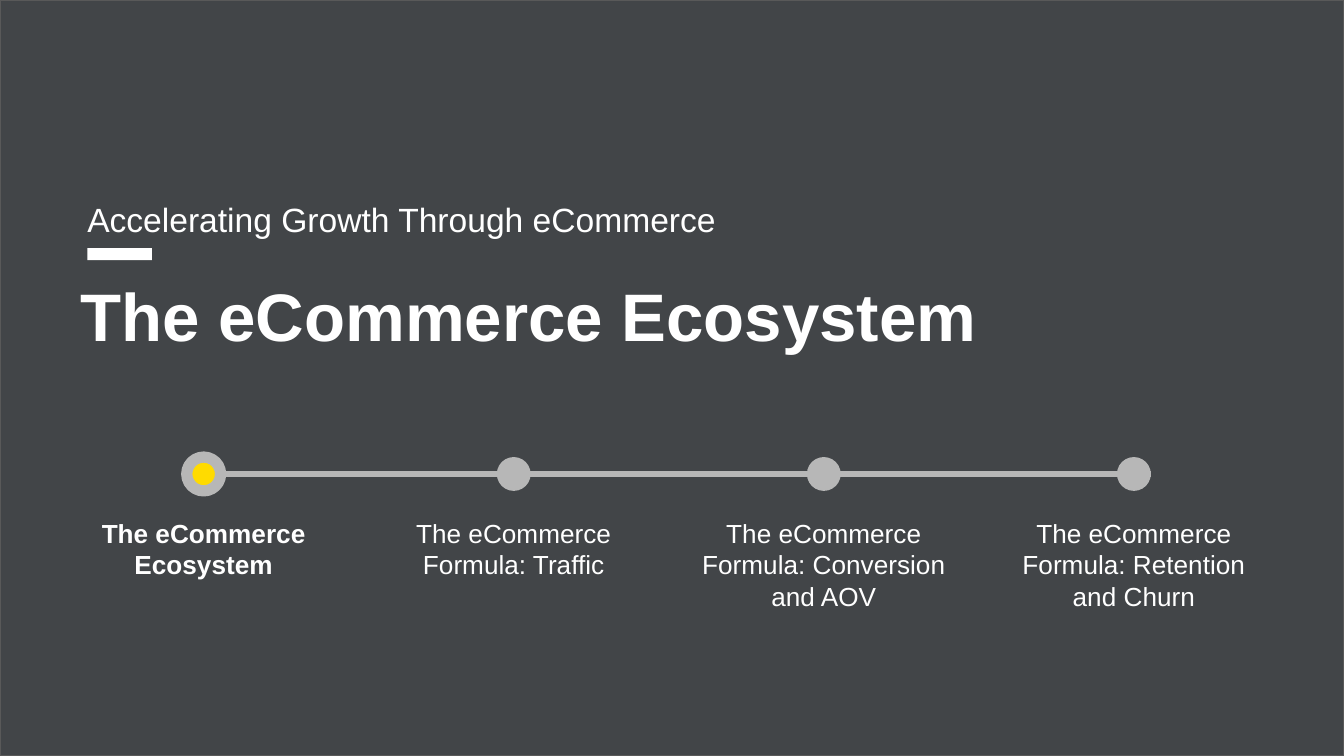
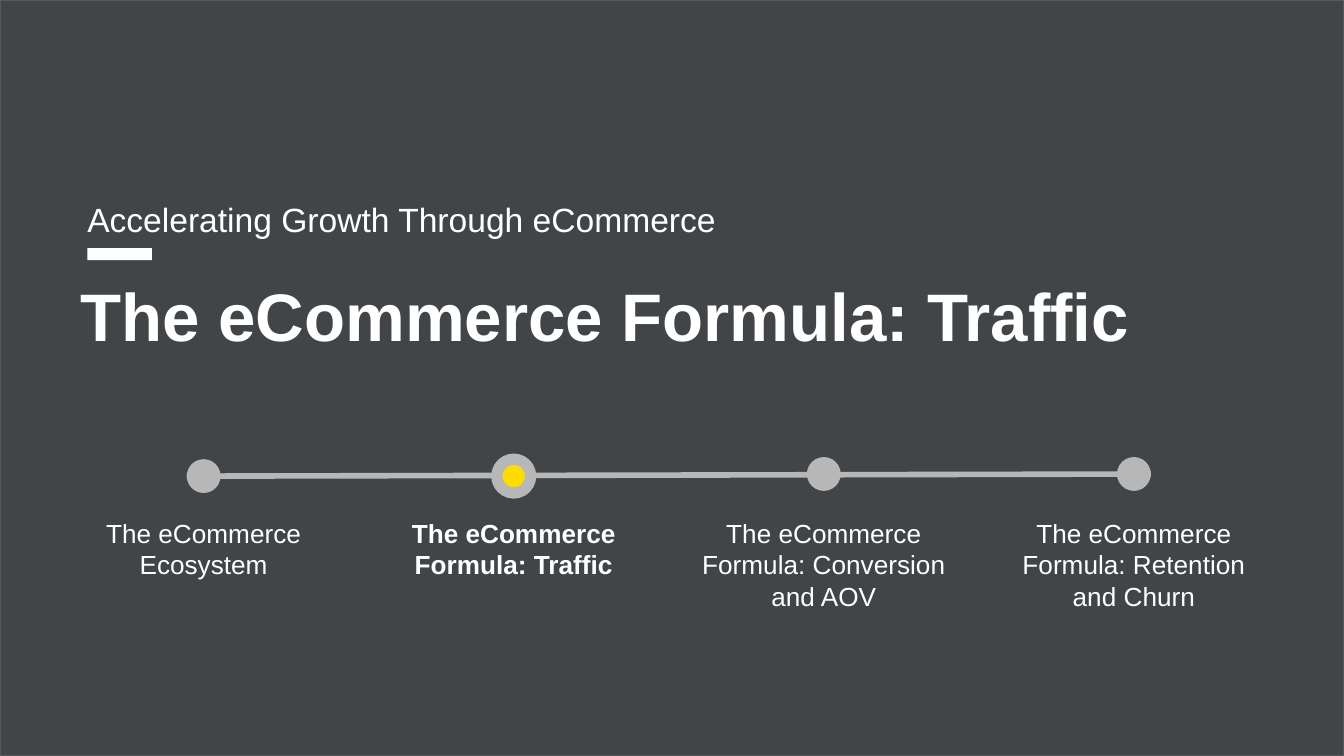
from pptx import Presentation
from pptx.dml.color import RGBColor
from pptx.enum.shapes import MSO_CONNECTOR as Line, MSO_SHAPE as Shape
from pptx.enum.text import MSO_ANCHOR as Anchor, PP_ALIGN as Align
from pptx.oxml.ns import qn
from pptx.util import Cm, Pt
from lxml import etree

WHITE, CHARCOAL, EDGE = "FFFFFF", "424548", "595959"
GREY, YELLOW = "B7B7B7", "FFDB00"
SUBTITLE = "Accelerating Growth Through eCommerce"
CHAPTERS = [
    "The eCommerce Ecosystem",
    "The eCommerce Formula: Traffic",
    "The eCommerce Formula: Conversion and AOV",
    "The eCommerce Formula: Retention and Churn",
]
FIRST_X, STEP = 3.85, 5.86
DOT, LABEL_WIDTH = 0.64, 5.16


def paint(shape, fill, edge=None, width=0):
    shape.shadow.inherit = False
    shape.fill.solid()
    shape.fill.fore_color.rgb = RGBColor.from_string(fill)
    if edge:
        shape.line.color.rgb = RGBColor.from_string(edge)
        shape.line.width = Pt(width)
    else:
        shape.line.fill.background()


def write(box, text, size, bold=False, **paragraph_format):
    frame = box.text_frame
    frame.text = text
    frame.word_wrap = True
    frame.vertical_anchor = Anchor.TOP
    for side in ("left", "right", "top", "bottom"):
        setattr(frame, f"margin_{side}", Cm(0.25))
    paragraph = frame.paragraphs[0]
    for key, value in paragraph_format.items():
        setattr(paragraph, key, value)
    for key, value in {"name": "Arial", "size": Pt(size), "bold": bold}.items():
        setattr(paragraph.font, key, value)
    paragraph.font.color.rgb = RGBColor.from_string(WHITE)


deck = Presentation()
deck.slide_width, deck.slide_height = Cm(25.4), Cm(14.29)
layout = deck.slide_layouts[5]
slides = [deck.slides.add_slide(layout) for _ in range(2)]

backdrop = slides[0].shapes.add_shape(Shape.RECTANGLE, 0, 0, deck.slide_width, deck.slide_height)
paint(backdrop, CHARCOAL, EDGE, 0.75)
accent = slides[0].shapes.add_shape(Shape.RECTANGLE, Cm(1.65), Cm(4.69), Cm(1.22), Cm(0.23))
paint(accent, WHITE)
for position, shared in enumerate((backdrop, accent), start=2):
    layout.shapes._spTree.insert(position, shared._element)

dot_heights = [[8.96] * 4, [9, 9, 8.96, 8.96]]
for current, (slide, heights) in enumerate(zip(slides, dot_heights)):
    shapes = slide.shapes
    title = shapes.title
    title.left, title.top, title.width, title.height = Cm(1.27), Cm(4.93), Cm(20.98), Cm(1.73)
    write(title, CHAPTERS[current], 36, bold=True, alignment=Align.LEFT)

    subtitle = shapes.add_textbox(Cm(1.4), Cm(3.4), Cm(20.73), Cm(1.14))
    write(subtitle, SUBTITLE, 18, line_spacing=1.15, space_after=Pt(16))

    track = shapes.add_connector(
        Line.STRAIGHT,
        Cm(FIRST_X - DOT / 2), Cm(heights[0]),
        Cm(FIRST_X + 3 * STEP + DOT / 2), Cm(heights[-1]),
    )
    track.line.color.rgb = RGBColor.from_string(GREY)
    track.line.width = Pt(3)
    etree.SubElement(track._element.spPr, qn("a:effectLst"))

    for index, (chapter, height) in enumerate(zip(CHAPTERS, heights)):
        active = index == current
        center = FIRST_X + index * STEP
        dot = shapes.add_shape(
            Shape.OVAL, Cm(center - DOT / 2), Cm(height - DOT / 2), Cm(DOT), Cm(DOT)
        )
        if active:
            paint(dot, YELLOW, GREY, 6)
        else:
            paint(dot, GREY)
        label = shapes.add_textbox(Cm(center - LABEL_WIDTH / 2), Cm(9.53), Cm(LABEL_WIDTH), Cm(2.54))
        write(label, chapter, 14, bold=active, alignment=Align.CENTER, space_after=Pt(16))

deck.save("out.pptx")
